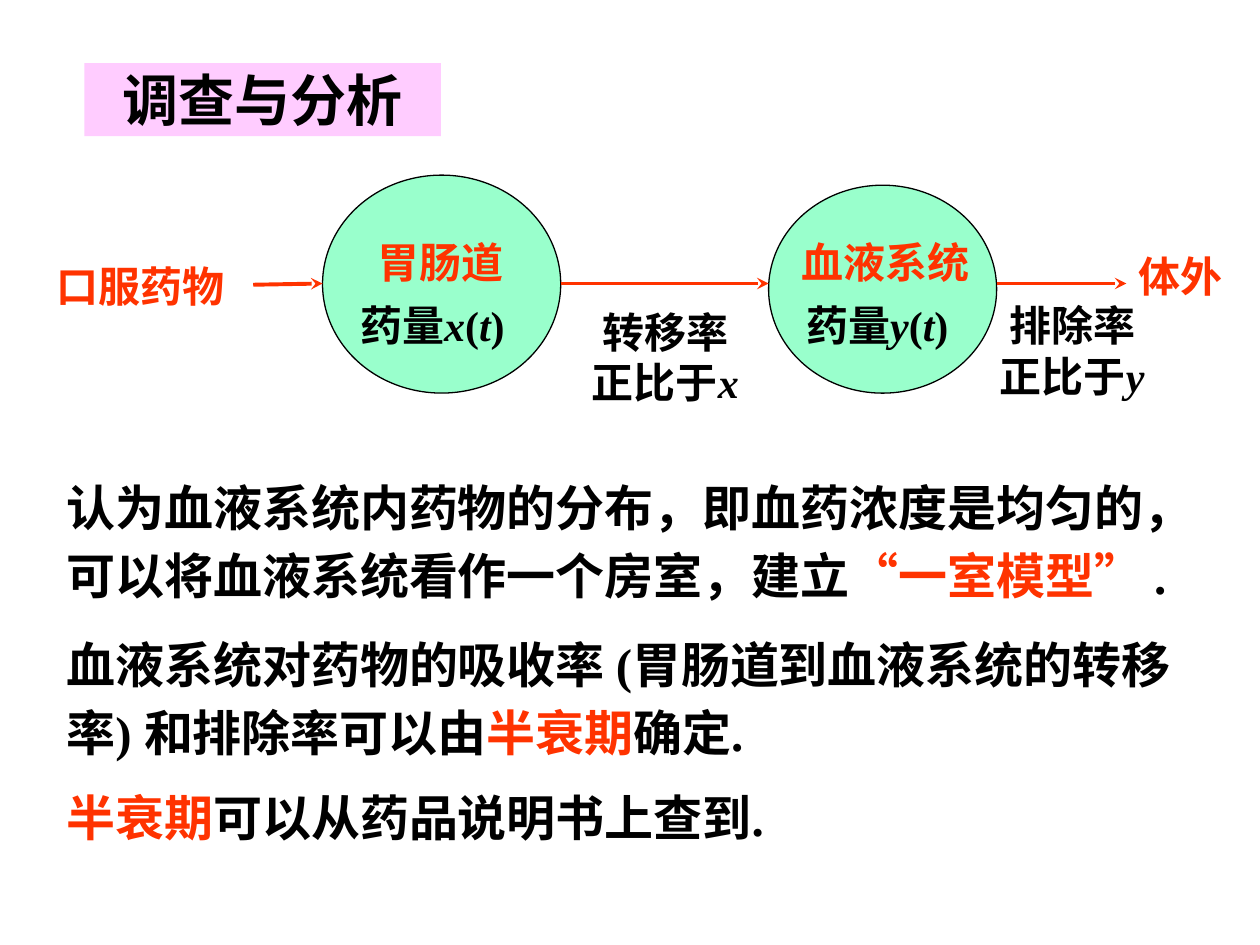
"""Build the slide on the one-compartment drug model."""
import pptx
import pptx.dml.color
import pptx.enum.dml
import pptx.enum.lang
import pptx.enum.shapes
import pptx.enum.text
import pptx.oxml
import pptx.util
from pptx.util import Inches

COLORS = {"ink": "000000", "accent": "FF3300", "heading": "FFCCFF", "compartment": "99FFCC"}
ALIGN = pptx.enum.text.PP_ALIGN
ANCHOR = pptx.enum.text.MSO_ANCHOR


def rgb(name):
    """Return the named colour."""
    return pptx.dml.color.RGBColor.from_string(COLORS[name])


def write(frame, *runs, size=24, align=ALIGN.LEFT, anchor=ANCHOR.TOP, wrap=True, spacing=None):
    """Write runs of (text, colour, italic) as one formatted paragraph."""
    frame.auto_size = pptx.enum.text.MSO_AUTO_SIZE.NONE
    frame.word_wrap = wrap
    frame.vertical_anchor = anchor
    paragraph = frame.paragraphs[0]
    paragraph.alignment = align
    if spacing:
        paragraph.line_spacing = spacing
    for text, color, italic in runs:
        run = paragraph.add_run()
        run.text = text
        run.font.name = "Times New Roman"
        run.font.size = pptx.util.Pt(size)
        run.font.bold = True
        run.font.italic = italic
        run.font.color.rgb = rgb(color)
        run.font.language_id = pptx.enum.lang.MSO_LANGUAGE_ID.SIMPLIFIED_CHINESE


def ink(text, italic=False):
    """Return a black run."""
    return text, "ink", italic


def accent(text):
    """Return a red run."""
    return text, "accent", False


def add_heading(slide, text):
    """Place the heading in the title placeholder."""
    heading = slide.shapes.title
    heading.left, heading.top = Inches(0.67), Inches(0.5)
    heading.width, heading.height = Inches(2.83), Inches(0.58)
    heading.fill.solid()
    heading.fill.fore_color.rgb = rgb("heading")
    write(heading.text_frame, ink(text), size=32, align=ALIGN.CENTER,
          anchor=ANCHOR.MIDDLE, wrap=False)


def add_label(slide, left, top, width, height, *runs, **formats):
    """Add a text box holding the runs."""
    label = slide.shapes.add_textbox(Inches(left), Inches(top), Inches(width), Inches(height))
    write(label.text_frame, *runs, **formats)


def add_compartment(slide, left, top, width, height):
    """Add a green outlined ellipse."""
    compartment = slide.shapes.add_shape(
        pptx.enum.shapes.MSO_SHAPE.OVAL,
        Inches(left), Inches(top), Inches(width), Inches(height))
    compartment.shadow.inherit = False
    compartment.fill.solid()
    compartment.fill.fore_color.rgb = rgb("compartment")
    compartment.line.color.rgb = rgb("ink")
    compartment.line.width = pptx.util.Pt(0.75)


def add_flow(slide, start, end, start_y=2.25, end_y=2.25):
    """Add a red arrow along the flow of the drug."""
    flow = slide.shapes.add_connector(
        pptx.enum.shapes.MSO_CONNECTOR.STRAIGHT,
        Inches(start), Inches(start_y), Inches(end), Inches(end_y))
    flow.line.color.rgb = rgb("accent")
    flow.line.width = pptx.util.Pt(2.25)
    line = flow.line._get_or_add_ln()
    line.append(pptx.oxml.parse_xml(
        '<a:tailEnd xmlns:a="http://schemas.openxmlformats.org/drawingml/2006/main" type="stealth"/>'))
    line.addnext(pptx.oxml.parse_xml(
        '<a:effectLst xmlns:a="http://schemas.openxmlformats.org/drawingml/2006/main"/>'))


def add_amount(slide, left, width, symbol):
    """Add the drug amount as a function of time."""
    add_label(slide, left, 2.33, width, 0.5, ink("药量"), ink(symbol, True),
              ink("("), ink("t", True), ink(")"), wrap=False)


def add_rate(slide, left, top, name, symbol):
    """Add a rate label under its arrow."""
    add_label(slide, left, top, 1.5, 0.9, ink(name + "正比于"), ink(symbol, True),
              align=ALIGN.CENTER)


def add_diagram(slide):
    """Draw the path of the drug through the body."""
    add_compartment(slide, 2.56, 1.39, 1.89, 1.73)
    add_compartment(slide, 6.1, 1.47, 1.81, 1.65)
    add_flow(slide, 2.01, 2.56, start_y=2.26)
    add_flow(slide, 4.45, 6.1)
    add_flow(slide, 7.91, 8.94)
    add_label(slide, 0.35, 2.02, 1.74, 0.5, accent("口服药物"))
    add_label(slide, 2.87, 1.83, 1.25, 0.5, accent("胃肠道"), align=ALIGN.CENTER)
    add_label(slide, 6.26, 1.83, 1.58, 0.5, accent("血液系统"))
    add_label(slide, 8.94, 1.94, 0.87, 0.5, accent("体外"))
    add_amount(slide, 2.76, 1.43, "x")
    add_amount(slide, 6.3, 1.41, "y")
    add_rate(slide, 4.53, 2.38, "转移率", "x")
    add_rate(slide, 7.76, 2.33, "排除率", "y")


def add_analysis(slide):
    """Add the statements below the diagram."""
    add_label(slide, 0.43, 3.67, 9.21, 1.18,
              ink("认为血液系统内药物的分布，即血药浓度是均匀的，可以将血液系统看作一个房室，建立"),
              accent("“一室模型” "), ink("."),
              size=28, anchor=ANCHOR.MIDDLE, spacing=1.15)
    add_label(slide, 0.43, 4.92, 9.21, 1.18,
              ink("血液系统对药物的吸收率 (胃肠道到血液系统的转移率) 和排除率可以由"),
              accent("半衰期"), ink("确定."), size=28, spacing=1.15)
    add_label(slide, 0.43, 5.96, 5.75, 1.04,
              accent("半衰期"), ink("可以从药品说明书上查到."),
              size=28, anchor=ANCHOR.MIDDLE)


def main():
    """Build and save the presentation."""
    presentation = pptx.Presentation()
    presentation.slide_width, presentation.slide_height = Inches(10), Inches(7.5)
    slide = presentation.slides.add_slide(presentation.slide_layouts[5])
    add_heading(slide, "调查与分析")
    add_diagram(slide)
    add_analysis(slide)
    presentation.save("out.pptx")


if __name__ == "__main__":
    main()
